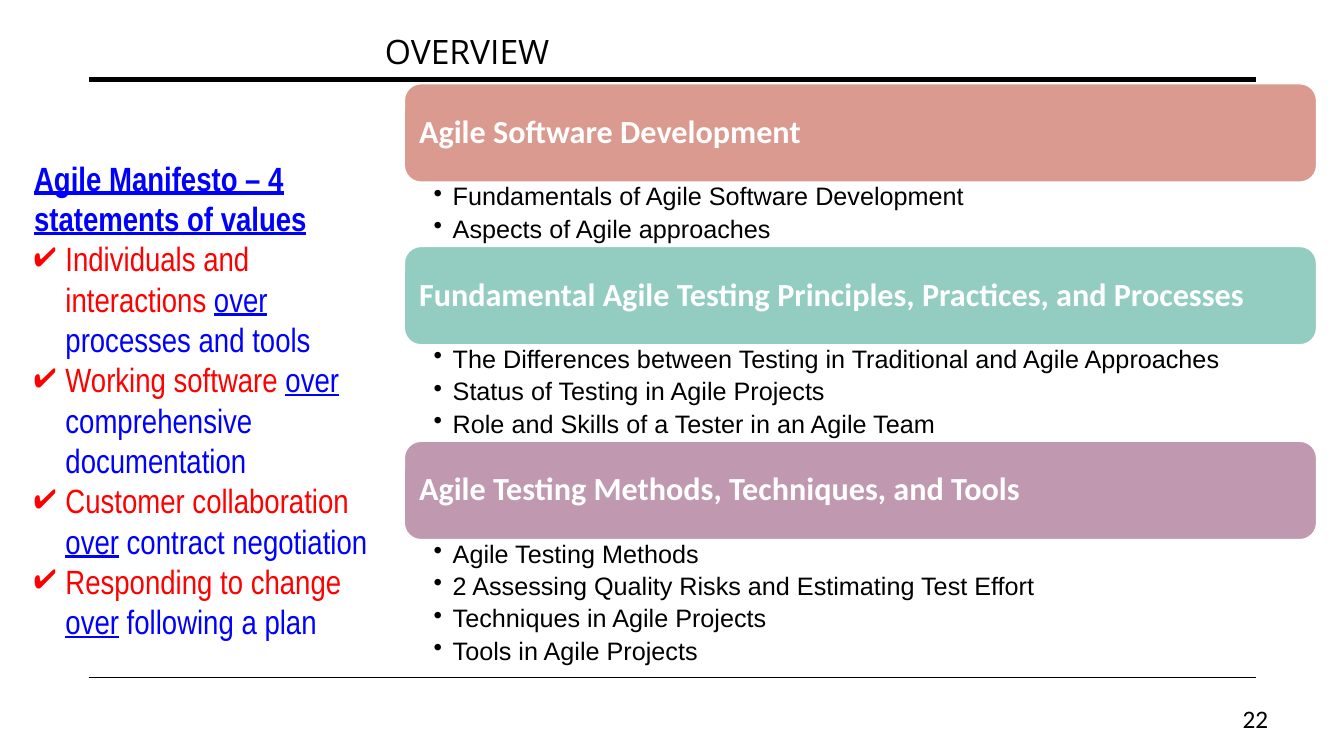
from lxml import etree
from pptx import Presentation, util as u
from pptx.dml.color import RGBColor
from pptx.enum import shapes, text
from pptx.oxml.ns import qn

BLACK = RGBColor(0, 0, 0)
WHITE = RGBColor(255, 255, 255)
RED = RGBColor(255, 0, 0)
BLUE = RGBColor(0, 0, 255)
CORAL = RGBColor(0xDA, 0x9A, 0x8F)
TEAL = RGBColor(0x93, 0xCD, 0xC1)
MAUVE = RGBColor(0xC0, 0x99, 0xB0)


class Deck:
    """Style and current slide."""
    head, body, side, top = "Calibri", "Arial", "Arial Narrow", "Open Sans"
    pad = (0.25, 0.13, 0.25, 0.13)

    def __init__(self):
        self.prs = Presentation()
        self.prs.slide_width, self.prs.slide_height = u.Cm(33.87), u.Cm(19.05)
        self.slide = self.prs.slides.add_slide(self.prs.slide_layouts[5])

    def frame(self, shape, pad=pad, anchor=text.MSO_ANCHOR.TOP):
        box = shape.text_frame
        box.word_wrap = True
        box.auto_size = text.MSO_AUTO_SIZE.NONE
        box.vertical_anchor = anchor
        (box.margin_left, box.margin_top,
         box.margin_right, box.margin_bottom) = map(u.Cm, pad)
        return box

    def box(self, x, y, w, h, **style):
        area = self.slide.shapes.add_textbox(*map(u.Cm, (x, y, w, h)))
        return self.frame(area, **style)

    def para(self, box, first, align=text.PP_ALIGN.LEFT, space=1.0):
        para = box.paragraphs[0] if first else box.add_paragraph()
        para.alignment, para.line_spacing = align, space
        return para

    def run(self, para, words, size, font, color, bold=False, under=False):
        run = para.add_run()
        run.text = words
        style = run.font
        style.size, style.name = u.Pt(size), font
        style.bold, style.underline = bold, under
        style.color.rgb = color

    def bullet(self, para, mark, color, indent):
        props = para._p.get_or_add_pPr()
        props.set("marL", str(u.Cm(indent)))
        props.set("indent", str(-u.Cm(indent)))
        tint = etree.SubElement(props, qn("a:buClr"))
        etree.SubElement(tint, qn("a:srgbClr"), val=str(color))
        etree.SubElement(props, qn("a:buChar"), char=mark)

    def title(self, words, x, y, w, h):
        head = self.slide.shapes.title
        head.left, head.top, head.width, head.height = map(u.Cm, (x, y, w, h))
        para = self.para(self.frame(head), True)
        self.run(para, words, 24, self.top, BLACK)

    def rule(self, x, y, end, width):
        line = self.slide.shapes.add_connector(
            shapes.MSO_CONNECTOR.STRAIGHT, *map(u.Cm, (x, y, end, y)))
        line.line.color.rgb, line.line.width = BLACK, u.Pt(width)
        etree.SubElement(line._element.spPr, qn("a:effectLst"))

    def bar(self, words, fill, x, y, w, h):
        bar = self.slide.shapes.add_shape(
            shapes.MSO_SHAPE.ROUNDED_RECTANGLE, *map(u.Cm, (x, y, w, h)))
        bar.adjustments[0] = 0.17
        bar.shadow.inherit = False
        bar.fill.solid()
        bar.fill.fore_color.rgb = fill
        bar.line.color.rgb, bar.line.width = WHITE, u.Pt(1)
        box = self.frame(bar, (0.25,) * 4, text.MSO_ANCHOR.MIDDLE)
        para = self.para(box, True, space=0.9)
        self.run(para, words, 23, self.head, WHITE, bold=True)

    def topics(self, items, x, y, w, h):
        box = self.box(x, y, w, h, pad=(0.74, 0.05, 0.36, 0.05))
        for i, item in enumerate(items):
            para = self.para(box, i == 0, space=0.9)
            para.level = 1
            para.space_before = u.Pt(3.6 if i else 0)
            self.bullet(para, "•", BLACK, 0.48)
            self.run(para, item, 18, self.body, BLACK)

    def values(self, head, pairs, x, y, w, h):
        box = self.box(x, y, w, h)
        para = self.para(box, True)
        self.run(para, head, 24, self.side, BLUE, bold=True, under=True)
        for more, less in pairs:
            para = self.para(box, False)
            self.bullet(para, "✔", RED, 0.79)
            self.run(para, more + " ", 24, self.side, RED)
            self.run(para, "over", 24, self.side, BLUE, under=True)
            self.run(para, " " + less, 24, self.side, BLUE)

    def number(self, words, x, y, w, h):
        box = self.box(x, y, w, h, anchor=text.MSO_ANCHOR.MIDDLE)
        para = self.para(box, True, text.PP_ALIGN.RIGHT, 0.9)
        self.run(para, words, 18, self.head, BLACK)


PARTS = [
    ("Agile Software Development", CORAL,
     ["Fundamentals of Agile Software Development",
      "Aspects of Agile approaches"]),
    ("Fundamental Agile Testing Principles, Practices, and Processes", TEAL,
     ["The Differences between Testing in Traditional and Agile Approaches",
      "Status of Testing in Agile Projects",
      "Role and Skills of a Tester in an Agile Team"]),
    ("Agile Testing Methods, Techniques, and Tools", MAUVE,
     ["Agile Testing Methods",
      "2 Assessing Quality Risks and Estimating Test Effort",
      "Techniques in Agile Projects",
      "Tools in Agile Projects"]),
]
VALUES = [
    ("Individuals and interactions", "processes and tools"),
    ("Working software", "comprehensive documentation"),
    ("Customer collaboration", "contract negotiation"),
    ("Responding to change", "following a plan"),
]


def main():
    deck = Deck()

    # Title, rules and page number
    deck.rule(2.24, 2.01, 31.65, 3.5)
    deck.rule(2.24, 17.07, 31.65, 1)
    deck.number("22", 30.33, 17.65, 1.88, 1.02)
    deck.title("OVERVIEW", 9.45, 0.64, 6.05, 1.32)

    # Course parts: each bar is followed by its list
    left, wide, tall, row = 10.19, 22.99, 2.48, 0.81
    y = 2.11
    for head, fill, items in PARTS:
        deck.bar(head, fill, left, y, wide, tall)
        deck.topics(items, left, y + tall, wide, row * len(items))
        y += tall + row * len(items)

    # Manifesto
    deck.values("Agile Manifesto – 4 statements of values", VALUES,
                0.61, 3.84, 9.27, 12.57)

    deck.prs.save("out.pptx")


if __name__ == "__main__":
    main()
